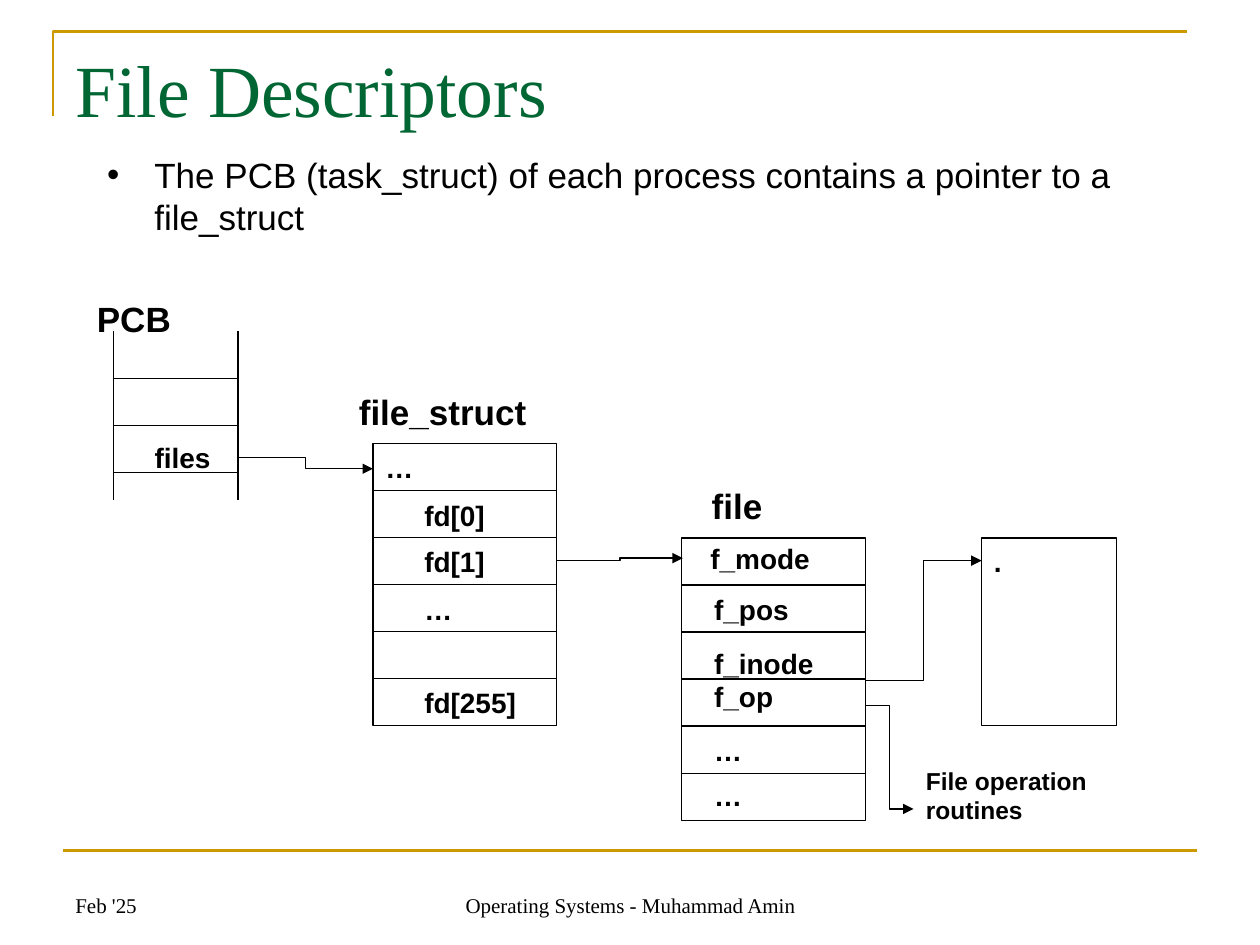
from lxml.etree import SubElement
from pptx import Presentation
from pptx.dml.color import RGBColor
from pptx.enum.shapes import MSO_CONNECTOR as Connector, MSO_SHAPE as Preset
from pptx.enum.text import MSO_ANCHOR as Anchor, MSO_AUTO_SIZE as AutoSize, PP_ALIGN as Align
from pptx.oxml.ns import qn
from pptx.util import Inches, Pt

BLACK, GOLD, GREEN = "000000", "CC9900", "006633"
SERIF, SANS = "Times New Roman", "Arial"
ROW = 2.24 / 6


def color(value):
    return RGBColor.from_string(value)


def place(shape, left, top, width, height):
    shape.left, shape.top = Inches(left), Inches(top)
    shape.width, shape.height = Inches(width), Inches(height)


def write(frame, text, size=16, font=SANS, fill=BLACK, bold=False,
          align=Align.LEFT, anchor=Anchor.TOP, wrap=True):
    frame.auto_size = AutoSize.NONE
    frame.word_wrap = wrap
    frame.vertical_anchor = anchor
    frame.text = text
    for paragraph in frame.paragraphs:
        paragraph.alignment = align
        paragraph.space_before = Pt(0)
        paragraph.font.size = Pt(size)
        paragraph.font.name = font
        paragraph.font.bold = bold
        paragraph.font.color.rgb = color(fill)


def add_text(slide, text, box, **text_format):
    textbox = slide.shapes.add_textbox(*map(Inches, box))
    write(textbox.text_frame, text, **text_format)


def add_line(slide, start, end, stroke=BLACK, weight=0.75, kind=Connector.STRAIGHT):
    line = slide.shapes.add_connector(kind, *map(Inches, (*start, *end)))
    line.line.color.rgb = color(stroke)
    line.line.width = Pt(weight)
    SubElement(line._element.spPr, qn("a:effectLst"))
    return line


def add_arrow(slide, start, end):
    arrow = add_line(slide, start, end, kind=Connector.ELBOW)
    SubElement(arrow.line._get_or_add_ln(), qn("a:tailEnd"), type="triangle")


def add_frame(slide, left, top, width, height):
    frame = slide.shapes.add_shape(Preset.RECTANGLE, *map(Inches, (left, top, width, height)))
    frame.shadow.inherit = False
    frame.fill.background()
    frame.line.color.rgb = color(BLACK)
    frame.line.width = Pt(0.75)


def add_rules(slide, left, top, width, count):
    for index in range(count):
        y = top + index * ROW
        add_line(slide, (left, y), (left + width, y))


def add_labels(slide, labels):
    for text, left, top, width in labels:
        height = 0.1 + 0.27 * len(text.split("\n"))
        add_text(slide, text, (left, top, width, height), bold=True)


def add_decoration(slide, left, top, width, height):
    builder = slide.shapes.build_freeform(Inches(left), Inches(top + height))
    corner = [(Inches(left), Inches(top)), (Inches(left + width), Inches(top))]
    builder.add_line_segments(corner, close=False)
    bracket = builder.convert_to_shape()
    bracket.shadow.inherit = False
    bracket.fill.background()
    bracket.line.color.rgb = color(GOLD)
    bracket.line.width = Pt(1.5)
    add_line(slide, (0.5, 6.75), (9.5, 6.75), GOLD, 1.5)


def add_footer(slide, top, height):
    footer_format = dict(size=12, font=SERIF, anchor=Anchor.BOTTOM)
    add_text(slide, "Feb '25", (0.5, top, 2.33, height), **footer_format)
    add_text(slide, "Operating Systems - Muhammad Amin", (3.42, top, 3.17, height),
             align=Align.CENTER, **footer_format)


def fill_title(slide, box):
    title = slide.shapes.title
    place(title, *box)
    write(title.text_frame, "File Descriptors", size=42, font=SERIF, fill=GREEN)


def fill_body(slide, box):
    body = slide.placeholders[1]
    place(body, *box)
    frame = body.text_frame
    properties = frame.paragraphs[0]._p.get_or_add_pPr()
    properties.set("marL", str(Inches(0.38)))
    properties.set("indent", str(-Inches(0.38)))
    bullet_color = SubElement(properties, qn("a:buClr"))
    SubElement(bullet_color, qn("a:srgbClr"), val=GOLD)
    SubElement(properties, qn("a:buSzPct"), val="65000")
    SubElement(properties, qn("a:buFont"), typeface=SANS)
    SubElement(properties, qn("a:buChar"), char="■")
    write(frame, "The PCB (task_struct) of each process contains a pointer to a file_struct",
          size=20)


def add_heading(slide, text, left, top, width):
    add_text(slide, text, (left, top, width, 0.44), size=20, bold=True, wrap=False)


def add_pcb(slide, left, top, width, height):
    for x in (left, left + width):
        add_line(slide, (x, top), (x, top + height))
    add_rules(slide, left, top + ROW, width, 3)
    add_labels(slide, [("files", left + 0.23, top + 0.82, 0.77)])
    add_heading(slide, "PCB", left - 0.23, top - 0.32, 0.79)


def add_record(slide, heading, heading_offset, labels, left, top, width):
    add_frame(slide, left, top, width, 6 * ROW)
    add_rules(slide, left, top + ROW, width, 5)
    add_labels(slide, [(text, left + x, top + y, 1.3) for text, x, y in labels])
    add_heading(slide, heading, left + heading_offset, top - 0.47, 1.53)


def add_targets(slide, left, top, width, height):
    add_frame(slide, left, top, width, height)
    add_labels(slide, [(".", left, top, 1.38)])
    add_text(slide, "File operation routines", (7.25, 6.03, 2.25, 0.57), size=14, bold=True)


def add_pointers(slide):
    pointers = [
        ((1.89, 3.63), (2.96, 3.72)),
        ((4.42, 4.45), (5.42, 4.43)),
        ((6.87, 5.4), (7.79, 4.45)),
        ((6.87, 5.6), (7.25, 6.42)),
    ]
    for start, end in pointers:
        add_arrow(slide, start, end)


def main():
    presentation = Presentation()
    presentation.slide_width, presentation.slide_height = Inches(10), Inches(7.5)
    slide = presentation.slides.add_slide(presentation.slide_layouts[1])
    add_decoration(slide, 0.42, 0.25, 9, 0.67)
    add_footer(slide, 6.83, 0.5)
    fill_title(slide, (0.5, 0.3, 9, 1.25))
    fill_body(slide, (0.75, 1.17, 8.58, 5.75))
    add_pcb(slide, 0.9, 2.63, 0.99, 1.34)
    descriptor_labels = [("…", 0, 0.01), ("fd[0]", 0.31, 0.39), ("fd[1]", 0.31, 0.75),
                         ("…", 0.31, 1.13), ("fd[255]", 0.31, 1.87)]
    add_record(slide, "file_struct", -0.21, descriptor_labels, 2.96, 3.52, 1.46)
    file_labels = [("f_mode", 0.13, -0.02), ("f_pos", 0.16, 0.38),
                   ("f_inode\nf_op", 0.16, 0.81), ("…", 0.16, 1.5), ("…", 0.16, 1.86)]
    add_record(slide, "file", 0.14, file_labels, 5.41, 4.27, 1.46)
    add_targets(slide, 7.79, 4.27, 1.07, 1.49)
    add_pointers(slide)
    presentation.save("out.pptx")


if __name__ == "__main__":
    main()
